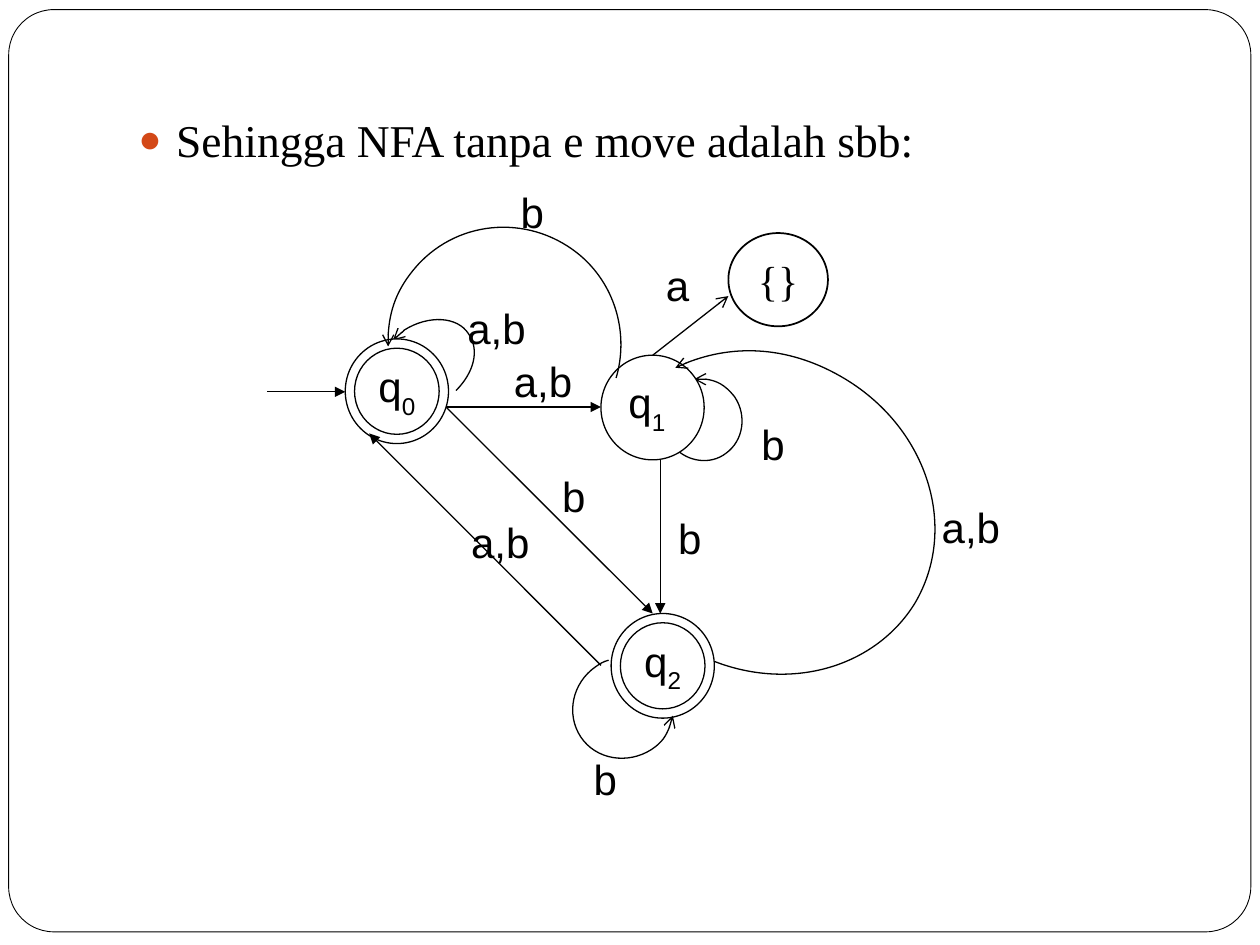
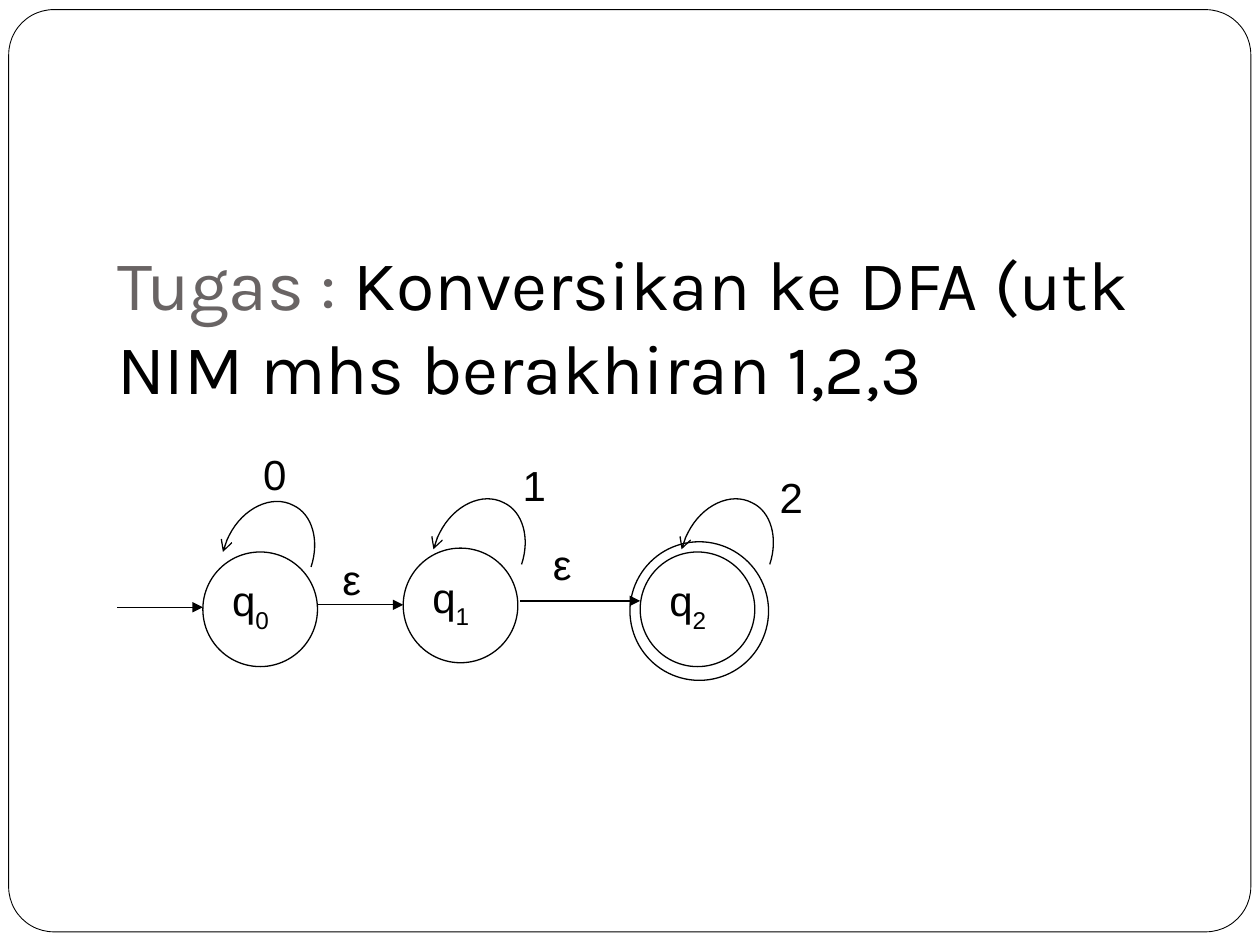
import pptx
import pptx.dml.color
import pptx.enum.shapes
import pptx.enum.text
import pptx.oxml
import pptx.oxml.ns
import pptx.util

Pt = pptx.util.Pt
SHAPE = pptx.enum.shapes.MSO_SHAPE
ANCHOR = pptx.enum.text.MSO_ANCHOR
ALIGN = pptx.enum.text.PP_ALIGN

BLACK = pptx.dml.color.RGBColor(0x00, 0x00, 0x00)
WHITE = pptx.dml.color.RGBColor(0xFF, 0xFF, 0xFF)
GREY = pptx.dml.color.RGBColor(0x69, 0x64, 0x64)
ORANGE = pptx.dml.color.RGBColor(0xD3, 0x48, 0x17)
SERIF, SANS, DISPLAY = "Times New Roman", "Arial", "Karla"

# Content: states are (name, index, box, options), labels are (text, box, options),
# arrows are (from, to, head), loops are Bezier points with the head at the start
HEADING = "Sehingga NFA tanpa e move adalah sbb:"
TASK = [("Tugas : ", GREY), ("Konversikan ke DFA (utk NIM mhs berakhiran 1,2,3", BLACK)]

NFA = {
    "states": [
        ("q", "0", (197.3, 193.7, 59, 59.8), {"accepting": True}),
        ("q", "1", (343.4, 203, 59, 59.8), {"align": ALIGN.LEFT}),
        ("q", "2", (349.2, 350.6, 59, 59.8), {"accepting": True}),
        ("{}", "", (416.2, 133.2, 56.9, 53.3),
         {"font": SERIF, "anchor": ANCHOR.MIDDLE, "line": 1}),
    ],
    "labels": [
        ("b", (282.2, 103.3, 43.9, 30.2), {}),
        ("a,b", (257.8, 291.6, 56.2, 30.2), {"fill": WHITE}),
        ("b", (306, 265.3, 43.9, 30.2), {}),
        ("b", (372.2, 289.4, 43.9, 30.2), {}),
        ("b", (324, 427.3, 43.9, 30.2), {}),
        ("b", (419.8, 235.4, 43.9, 30.2), {}),
        ("a,b", (527.8, 283.3, 54, 30.2), {}),
        ("a,b", (284.4, 199.4, 51.8, 30.2), {"fill": WHITE}),
        ("a,b", (255.6, 169.2, 56.2, 30.2), {}),
        ("a", (365.2, 145, 43.9, 30.2), {}),
    ],
    "arrows": [
        ((152.6, 223.9), (197.3, 223.9), "triangle"),
        ((377.3, 262.1), (377.3, 350.6), "triangle"),
        ((254.9, 232.6), (343.4, 232.6), "triangle"),
        ((254.9, 232.6), (373, 350.6), "triangle"),
        ((343.4, 380.2), (211, 247.7), "triangle"),
        ((373, 203), (416.2, 169.2), "arrow"),
    ],
    "loops behind states": [
        # q1 to itself
        [(396.7, 216.7), (405.4, 215.3), (414, 219.6), (419.8, 226.8), (427, 237.6),
         (424.8, 252), (414.7, 259.2), (406.1, 265.7), (393.1, 264.2), (385.2, 255.6)],
        # q0 to itself
        [(224.6, 194.4), (226.1, 192.2), (229, 190.8), (231.1, 188.6), (244.8, 180),
         (261.4, 180.7), (267.8, 190.8), (274.3, 200.2), (270.7, 213.1), (260.6, 223.2)],
    ],
    "loops": [
        # q2 to itself
        [(384.5, 409), (383, 416.9), (378.7, 424.1), (372.2, 428.4), (358.6, 437),
         (340.6, 434.2), (331.9, 421.2), (323.3, 408.2), (326.9, 390.2), (340.6, 380.9),
         (342.7, 379.4), (344.9, 378), (347.8, 377.3)],
        # q2 to q1
        [(385.9, 210.2), (415.4, 195.8), (452.2, 198), (483.1, 216.7), (530.6, 245.5),
         (547.9, 302.4), (522.7, 344.9), (500.4, 380.9), (452.9, 395.3), (408.2, 378)],
        # q1 to q0
        [(221.8, 198), (221, 181.4), (226.8, 164.9), (238.3, 151.9), (262.8, 124.6),
         (304.6, 122.4), (332.6, 146.9), (352.1, 164.2), (359.3, 191.5), (352.1, 216)],
    ],
}

SELF_LOOP = [(0, 0), (0.7, -3.6), (2.2, -6.5), (3.6, -9.4), (11.5, -25.2),
             (28.1, -33.1), (40.3, -26.6), (51.1, -21.6), (55.4, -6.5), (50.4, 8.6)]
LOOP_HEADS = [(127.4, 315.4), (247.7, 313.9), (389.5, 313.9)]

EPSILON_NFA = {
    "states": [
        ("", "", (360, 309.6, 79.2, 79.2), {}),
        ("q", "0", (115.9, 315.4, 65.5, 65.5), {"align": ALIGN.LEFT}),
        ("q", "1", (230.4, 313.2, 65.5, 65.5), {"align": ALIGN.LEFT}),
        ("q", "2", (365.8, 315.4, 65.5, 65.5), {"align": ALIGN.LEFT}),
    ],
    "labels": [
        ("0", (132.5, 253, 49, 32.4), {}),
        ("1", (280.8, 258.8, 49, 32.4), {}),
        ("2", (427.7, 265.7, 49, 32.4), {}),
        ("ε", (188.6, 312.5, 49, 33.1), {"align": ALIGN.LEFT}),
        ("ε", (308.9, 304, 49, 33.1), {"align": ALIGN.LEFT}),
    ],
    "arrows": [
        ((67, 347), (115.9, 347), "triangle"),
        ((181.4, 345.6), (230.4, 345.6), "triangle"),
        ((297.4, 343.4), (365.8, 343.4), "triangle"),
    ],
    "loops behind states": [],
    "loops": [[(left + x, top + y) for x, y in SELF_LOOP] for left, top in LOOP_HEADS],
}


def points(values):
    return [Pt(value) for value in values]


def element(tag, **attributes):
    made = pptx.oxml.xmlchemy.OxmlElement(tag)
    for key, value in attributes.items():
        made.set(key, value)
    return made


def write(holder, text, size=24, font=SANS, color=BLACK, align=ALIGN.CENTER,
          anchor=ANCHOR.TOP, subscript="", bottom=3.6):
    """Append text to the first paragraph of a shape, then an optional subscript."""
    frame = holder.text_frame
    frame.word_wrap = True
    frame.vertical_anchor = anchor
    frame.margin_left = frame.margin_right = Pt(7.2)
    frame.margin_top, frame.margin_bottom = Pt(3.6), Pt(bottom)
    paragraph = frame.paragraphs[0]
    paragraph.alignment = align
    for part, baseline in ((text, None), (subscript, "-30000")):
        if part:
            run = paragraph.add_run()
            run.text = part
            run.font.size, run.font.name = Pt(size), font
            run.font.color.rgb = color
            if baseline:
                run.font._element.set("baseline", baseline)
    return paragraph


def add_outline(slide, kind, box, line):
    outline = slide.shapes.add_shape(kind, *points(box))
    outline.shadow.inherit = False
    outline.fill.solid()
    outline.fill.fore_color.rgb = WHITE
    outline.line.color.rgb = BLACK
    outline.line.width = Pt(line)
    return outline


def add_state(slide, name, index, box, accepting=False, line=0.75, **style):
    state = add_outline(slide, SHAPE.DONUT if accepting else SHAPE.FLOWCHART_CONNECTOR,
                        box, line)
    if accepting:
        state.adjustments[0] = 0.09
    if name:
        write(state, name, subscript=index, **style)


def add_label(slide, text, box, fill=None, **style):
    label = slide.shapes.add_textbox(*points(box))
    if fill is not None:
        label.fill.solid()
        label.fill.fore_color.rgb = fill
    write(label, text, **style)


def style_edge(edge, end, head):
    edge.line.color.rgb = BLACK
    edge.line.width = Pt(0.75)
    edge.line._get_or_add_ln().append(element(end, type=head))


def add_arrow(slide, start, finish, head):
    arrow = slide.shapes.add_connector(pptx.enum.shapes.MSO_CONNECTOR.STRAIGHT,
                                       *points(start + finish))
    style_edge(arrow, "a:tailEnd", head)
    arrow._element.spPr.append(element("a:effectLst"))


def add_loop(slide, controls):
    builder = slide.shapes.build_freeform(*points(controls[0]))
    builder.add_line_segments([points(point) for point in controls[1:]], close=False)
    loop = builder.convert_to_shape()
    loop.shadow.inherit = False
    loop.fill.background()
    style_edge(loop, "a:headEnd", "arrow")

    # Turn every three line segments into one Bezier segment
    segments = list(loop._element.iter(pptx.oxml.ns.qn("a:lnTo")))
    for first in range(0, len(segments), 3):
        bezier = element("a:cubicBezTo")
        segments[first].addprevious(bezier)
        for segment in segments[first:first + 3]:
            bezier.append(segment[0])
            segment.getparent().remove(segment)


def add_automaton(slide, automaton):
    for text, box, style in automaton["labels"]:
        add_label(slide, text, box, **style)
    for controls in automaton["loops behind states"]:
        add_loop(slide, controls)
    for name, index, box, style in automaton["states"]:
        add_state(slide, name, index, box, **style)
    for start, finish, head in automaton["arrows"]:
        add_arrow(slide, start, finish, head)
    for controls in automaton["loops"]:
        add_loop(slide, controls)


def add_framed_slide(deck):
    slide = deck.slides.add_slide(deck.slide_layouts[6])
    border = add_outline(slide, SHAPE.ROUNDED_RECTANGLE, (5, 5.5, 709.8, 527), 0.5)
    border.adjustments[0] = 0.049
    return slide


def add_bullet(paragraph):
    properties = paragraph._p.get_or_add_pPr()
    properties.set("marL", str(Pt(21.6)))
    properties.set("indent", str(-Pt(21.6)))
    color = element("a:buClr")
    color.append(element("a:srgbClr", val=str(ORANGE)))
    for part in (color, element("a:buSzPct", val="85000"),
                 element("a:buFont", typeface=SERIF), element("a:buChar", char="●")):
        properties.append(part)


def main():
    deck = pptx.Presentation()
    deck.slide_width, deck.slide_height = Pt(720), Pt(540)

    # NFA without epsilon moves
    slide = add_framed_slide(deck)
    heading = slide.shapes.add_textbox(*points((72, 60.5, 612, 382.3)))
    add_bullet(write(heading, HEADING, size=26, font=SERIF, align=ALIGN.LEFT))
    add_automaton(slide, NFA)

    # Exercise
    slide = add_framed_slide(deck)
    task = slide.shapes.add_textbox(*points((59.8, 150.8, 612, 90)))
    for text, color in TASK:
        write(task, text, size=40, font=DISPLAY, color=color, align=ALIGN.LEFT,
              anchor=ANCHOR.BOTTOM, bottom=7.2)
    add_automaton(slide, EPSILON_NFA)

    deck.save("out.pptx")


if __name__ == "__main__":
    main()
